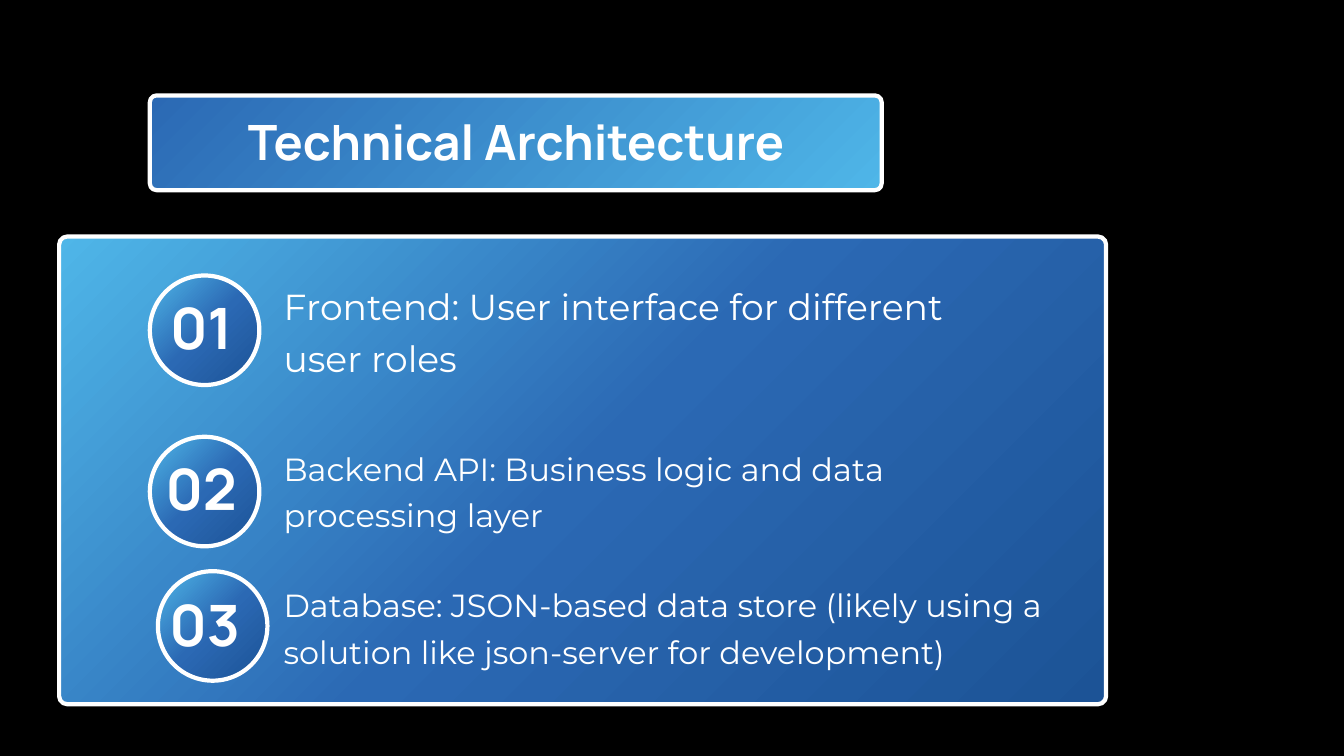
from pptx import Presentation
from pptx.dml.color import RGBColor
from pptx.enum.shapes import MSO_SHAPE as Preset
from pptx.enum.text import MSO_AUTO_SIZE as AutoSize, PP_ALIGN as Align
from pptx.oxml import parse_xml
from pptx.oxml.ns import nsdecls
from pptx.util import Emu, Pt

COLORS = {
    "background": "000000",
    "white": "FFFFFF",
    "sky": "4FB6E8",
    "blue": "2B69B4",
    "navy": "1C5396",
}
PANEL_STOPS = ["sky", "blue", "navy"]
TITLE_STOPS = ["blue", "sky"]
DISC_SIZE = 163
LABEL_LEFT = 422

ROWS = [
    ("01", (223, 410), (235, 418), (410, 1074, 153), 38.7, 56.1,
     "Frontend: User interface for different user roles"),
    ("02", (223, 650), (235, 658), (657, 953, 135), 34.3, 49.7,
     "Backend API: Business logic and data processing layer"),
    ("03", (235, 850), (240, 861), (860, 1223, 134), 34.2, 49.6,
     "Database: JSON-based data store (likely using a solution like "
     "json-server for development)"),
]


def px(value):
    """Turn px, at 100 to the inch, into EMU."""
    return Emu(value * 9144)


def color(name):
    """Look up a named colour."""
    return RGBColor.from_string(COLORS[name])


def gradient_fill(names):
    """Build a gradient with equal steps that spreads from the top left corner."""
    stops = "".join(
        f'<a:gs pos="{100000 * index // (len(names) - 1)}">'
        f'<a:srgbClr val="{COLORS[name]}"/></a:gs>'
        for index, name in enumerate(names)
    )
    return parse_xml(
        f'<a:gradFill {nsdecls("a")} rotWithShape="1"><a:gsLst>{stops}</a:gsLst>'
        '<a:path path="circle"><a:fillToRect l="0" t="0" r="100000" b="100000"/>'
        '</a:path></a:gradFill>'
    )


def add_gradient_shape(slide, preset, box, stops):
    """Add a white-edged shape with a gradient fill."""
    shape = slide.shapes.add_shape(preset, *map(px, box))
    shape.shadow.inherit = False
    geometry = shape.element.spPr.find(f"{{{shape.element.nsmap['a']}}}prstGeom")
    geometry.addnext(gradient_fill(stops))
    shape.line.color.rgb = color("white")
    shape.line.width = Pt(4.5)
    return shape


def add_panel(slide, box, radius, stops):
    """Add a rounded panel with a corner radius in px."""
    panel = add_gradient_shape(slide, Preset.ROUNDED_RECTANGLE, box, stops)
    panel.adjustments[0] = radius / min(box[2:])


def add_text(slide, box, text, font_name, size, spacing, align=Align.LEFT, bold=False):
    """Add a white text box with exact line spacing and no insets."""
    frame = slide.shapes.add_textbox(*map(px, box)).text_frame
    frame.word_wrap = True
    frame.auto_size = AutoSize.SHAPE_TO_FIT_TEXT
    frame.margin_left = frame.margin_top = frame.margin_right = frame.margin_bottom = 0
    paragraph = frame.paragraphs[0]
    paragraph.text = text
    paragraph.alignment = align
    paragraph.line_spacing = Pt(spacing)
    font = paragraph.font
    font.name, font.size, font.bold = font_name, Pt(size), bold
    font.color.rgb = color("white")


def add_row(slide, number, disc, numeral, label, size, spacing, text):
    """Add a numbered disc and the label beside it."""
    top, width, height = label
    add_gradient_shape(slide, Preset.OVAL, (*disc, DISC_SIZE, DISC_SIZE), PANEL_STOPS)
    add_text(slide, (*numeral, 129, 121), number, "Manrope", 61.1, 85.5,
             Align.CENTER, True)
    add_text(slide, (LABEL_LEFT, top, width, height), text, "Montserrat", size, spacing)


def main():
    """Build the slide and save it."""
    presentation = Presentation()
    presentation.slide_width, presentation.slide_height = px(2000), px(1125)
    slide = presentation.slides.add_slide(presentation.slide_layouts[6])
    slide.background.fill.solid()
    slide.background.fill.fore_color.rgb = color("background")

    add_panel(slide, (88, 352, 1558, 696), 12, PANEL_STOPS)
    add_panel(slide, (223, 142, 1089, 141), 10, TITLE_STOPS)
    add_text(slide, (255, 152, 1026, 103), "Technical Architecture", "Manrope",
             52.1, 73, Align.CENTER, True)
    for row in ROWS:
        add_row(slide, *row)
    presentation.save("out.pptx")


if __name__ == "__main__":
    main()
